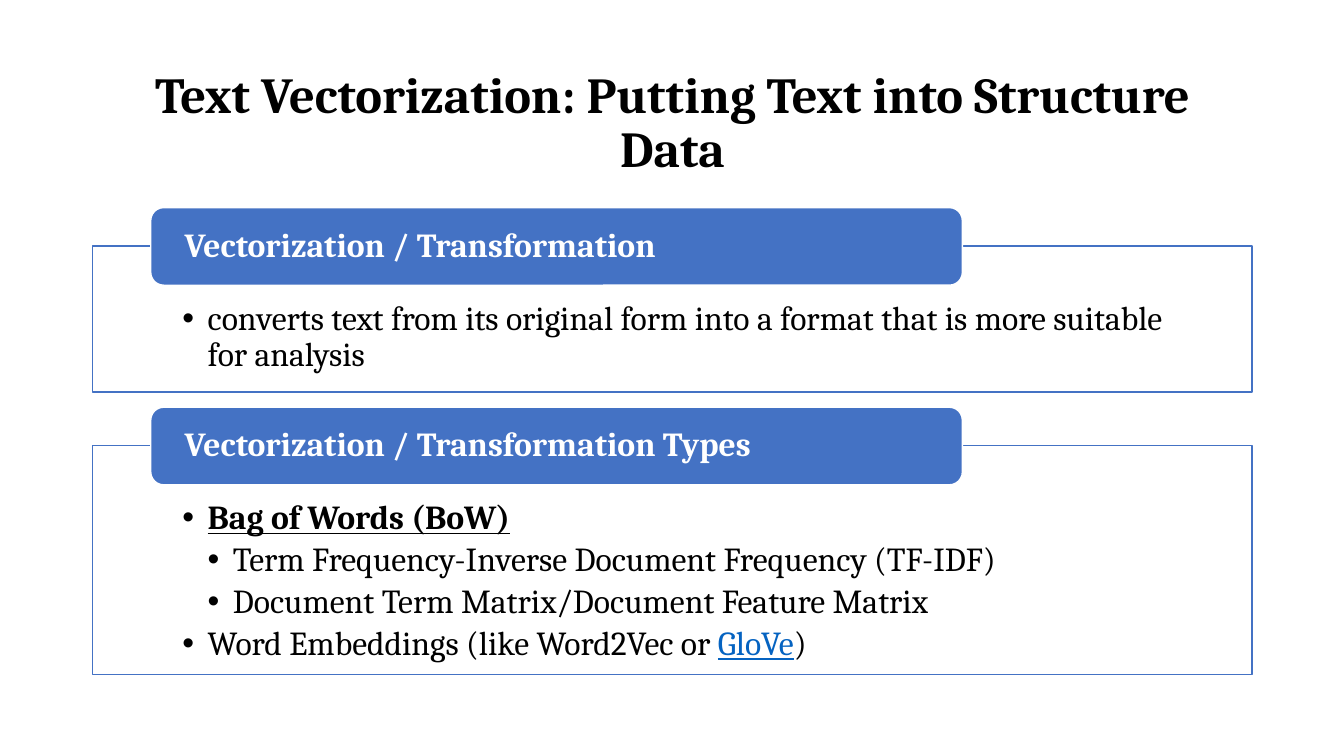
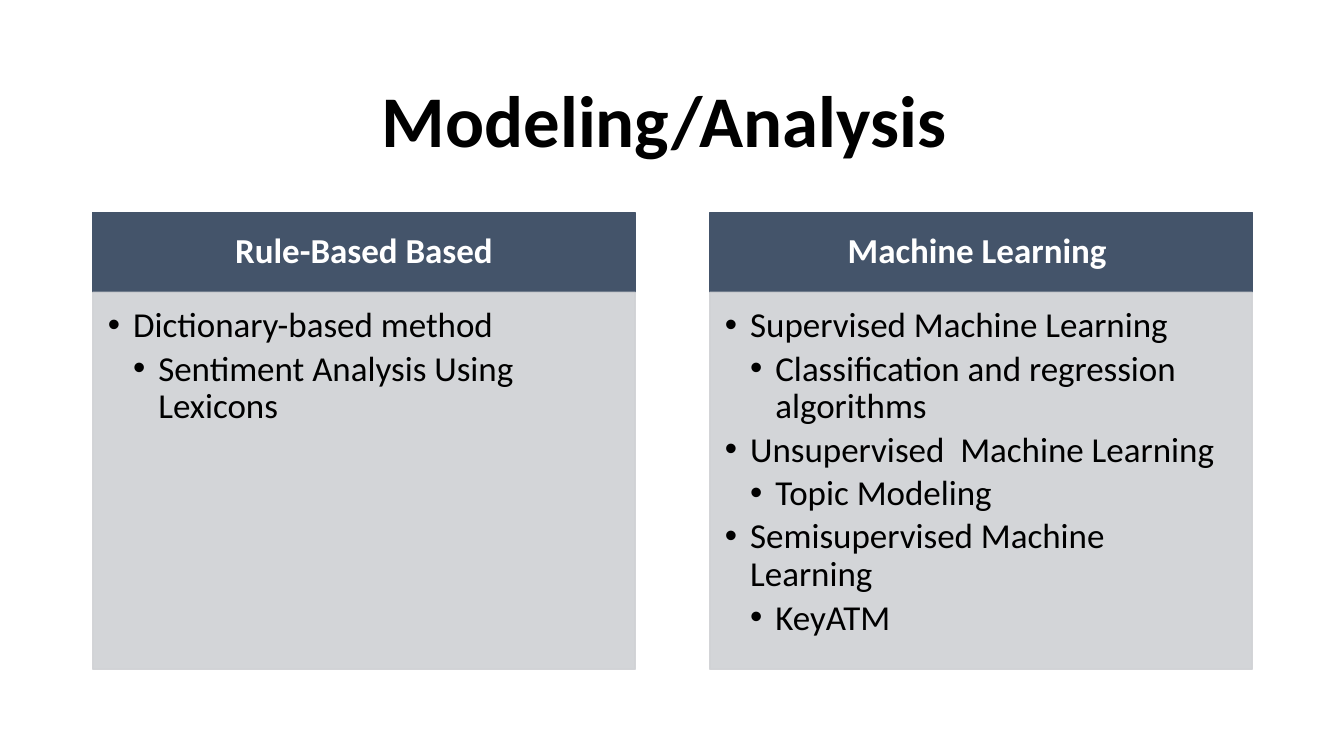
from lxml.etree import SubElement as Sub
from pptx import Presentation as Deck
from pptx.dml.color import RGBColor as Color
from pptx.enum.shapes import MSO_SHAPE as Shape
from pptx.enum.text import MSO_ANCHOR as Anchor, PP_ALIGN as Align
from pptx.oxml.ns import qn
from pptx.util import Inches, Pt

WIDE, HIGH = 13.33, 7.5
EDGE, SPAN = 0.92, 11.5
BLACK, WHITE, BLUE, LINK = "000000", "FFFFFF", "4472C4", "0563C1"
SLATE, GREY = "44546A", "CFD1D4"
SERIF, SANS = "Cambria", "Calibri"


def paint(part, tone):
    """Set a solid colour on a fill or a colour format from a hex string."""
    if hasattr(part, "solid"):
        part.solid()
        part = part.fore_color
    part.rgb = Color.from_string(tone)


def fade(shape, share):
    """Make the fill and line of a shape partly transparent."""
    for tint in shape.element.spPr.iter(qn("a:srgbClr")):
        Sub(tint, qn("a:alpha")).set("val", str(int(share * 100000)))


def block(slide, kind, box, fill, line):
    """Draw a filled shape with a thin outline."""
    shape = slide.shapes.add_shape(kind, *map(Inches, box))
    shape.shadow.inherit = False
    paint(shape.fill, fill)
    paint(shape.line.fill, line)
    shape.line.width = Pt(1)
    return shape


def setup(frame, pads, anchor):
    """Set the insets, wrapping and anchor of a text frame."""
    frame.word_wrap = True
    frame.vertical_anchor = anchor
    (frame.margin_left, frame.margin_top,
     frame.margin_right, frame.margin_bottom) = map(Inches, pads)


def add_run(para, text, face, size, tone=BLACK, bold=False, under=False):
    """Add one styled run to a paragraph."""
    run = para.add_run()
    run.text = text
    font = run.font
    font.name, font.size, font.bold, font.underline = face, Pt(size), bold, under
    paint(font.color, tone)


def label(frame, text, face, size, tone, align):
    """Write one bold line of text, as in titles and headings."""
    para = frame.paragraphs[0]
    para.alignment, para.line_spacing = align, 0.9
    add_run(para, text, face, size, tone, bold=True)


def bullets(frame, items, face, size):
    """Write bulleted items, each a level and a list of runs."""
    for num, (level, runs) in enumerate(items):
        para = frame.add_paragraph() if num else frame.paragraphs[0]
        props = para._p.get_or_add_pPr()
        props.set("marL", str(Inches(0.25 * level)))
        props.set("indent", str(Inches(-0.25)))
        Sub(props, qn("a:buFont")).set("typeface", "Arial")
        Sub(props, qn("a:buChar")).set("char", "•")
        para.level, para.alignment = level, Align.LEFT
        para.line_spacing, para.space_after = 0.9, Pt(4)
        for text, style in runs:
            add_run(para, text, face, size, **style)


def title(slide, text, face, size):
    """Place the centred slide title."""
    box = slide.shapes.add_textbox(*map(Inches, (EDGE, 0.61, SPAN, 1.24)))
    setup(box.text_frame, (0.1, 0.05, 0.1, 0.05), Anchor.MIDDLE)
    label(box.text_frame, text, face, size, BLACK, Align.CENTER)


def panel(slide, box, head, items):
    """Draw an outlined panel with a rounded tab over its top edge."""
    left, top, width, height = box
    body = block(slide, Shape.RECTANGLE, box, WHITE, BLUE)
    setup(body.text_frame, (0.89, 0.55, 0.89, 0.19), Anchor.TOP)
    bullets(body.text_frame, items, SERIF, 24)
    place = (left + width * 0.05, top - 0.38, width * 0.7, 0.77)
    tab = block(slide, Shape.ROUNDED_RECTANGLE, place, BLUE, WHITE)
    setup(tab.text_frame, (0.3, 0, 0.3, 0), Anchor.MIDDLE)
    label(tab.text_frame, head, SERIF, 24, WHITE, Align.LEFT)


def column(slide, box, head, items):
    """Draw a column with a dark header over a grey list."""
    left, top, width, height = box
    bar = 0.79
    cap = block(slide, Shape.RECTANGLE, (left, top, width, bar), SLATE, SLATE)
    setup(cap.text_frame, (0.19, 0.11, 0.19, 0.11), Anchor.MIDDLE)
    label(cap.text_frame, head, SANS, 25, WHITE, Align.CENTER)
    place = (left, top + bar, width, height - bar)
    body = block(slide, Shape.RECTANGLE, place, GREY, GREY)
    fade(body, 0.9)
    setup(body.text_frame, (0.15, 0.15, 0.19, 0.22), Anchor.TOP)
    bullets(body.text_frame, items, SANS, 25)


def plain(level, text):
    """Give a list item made of one plain run."""
    return level, [(text, {})]


def vector(slide):
    """Build the slide on text vectorization."""
    title(slide, "Text Vectorization: Putting Text into Structure Data", SERIF, 36)
    panels = [
        (1.45, "Vectorization / Transformation", [
            plain(1, "converts text from its original form into a format "
                     "that is more suitable for analysis")]),
        (2.27, "Vectorization / Transformation Types", [
            (1, [("Bag of Words (BoW)", {"bold": True, "under": True})]),
            plain(2, "Term Frequency-Inverse Document Frequency (TF-IDF)"),
            plain(2, "Document Term Matrix/Document Feature Matrix"),
            (1, [("Word Embeddings (like Word2Vec or ", {}),
                 ("GloVe", {"tone": LINK, "under": True}),
                 (")", {})])]),
    ]
    top = 2.44
    for height, head, items in panels:
        panel(slide, (EDGE, top, SPAN, height), head, items)
        top += height + 0.53


def model(slide):
    """Build the slide on modeling and analysis."""
    title(slide, "Modeling/Analysis ", SANS, 52)
    columns = [
        ("Rule-Based Based", [
            plain(1, "Dictionary-based method"),
            plain(2, "Sentiment Analysis Using Lexicons")]),
        ("Machine Learning ", [
            plain(1, "Supervised Machine Learning"),
            plain(2, "Classification and regression algorithms"),
            plain(1, "Unsupervised  Machine Learning"),
            plain(2, "Topic Modeling"),
            plain(1, "Semisupervised Machine Learning"),
            plain(2, "KeyATM")]),
    ]
    width = 5.38
    step = SPAN - width
    for num, (head, items) in enumerate(columns):
        column(slide, (EDGE + num * step, 2.11, width, 4.53), head, items)


def main():
    """Build and save the deck."""
    deck = Deck()
    deck.slide_width, deck.slide_height = Inches(WIDE), Inches(HIGH)
    for build in (vector, model):
        build(deck.slides.add_slide(deck.slide_layouts[6]))
    deck.save("out.pptx")


if __name__ == "__main__":
    main()
